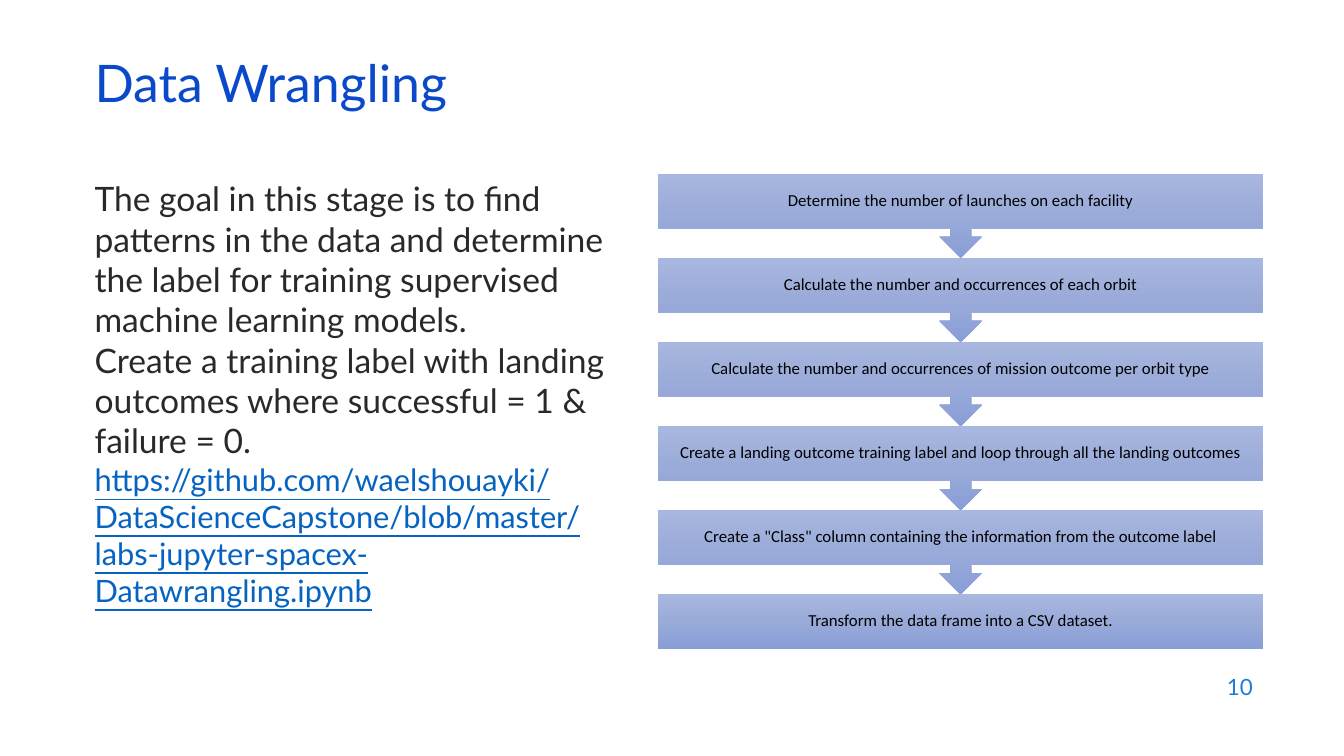
"""Build the Data Wrangling slide with its six-step flow."""
import copy

import pptx
import pptx.dml.color
import pptx.enum.shapes
import pptx.enum.text
import pptx.util

Pt = pptx.util.Pt
ALIGN = pptx.enum.text.PP_ALIGN
ANCHOR = pptx.enum.text.MSO_ANCHOR
SHAPE = pptx.enum.shapes.MSO_SHAPE

TITLE = "Data Wrangling"
PAGE_NUMBER = "10"
BODY = [
    ("The goal in this stage is to find patterns in the data and determine "
     "the label for training supervised machine learning models.", 24, "292929", False),
    ("Create a training label with landing outcomes where successful = 1 & "
     "failure = 0.", 24, "292929", False),
    ("https://github.com/waelshouayki/DataScienceCapstone/blob/master/"
     "labs-jupyter-spacex-Datawrangling.ipynb", 22, "0563C1", True),
]
STEPS = [
    "Determine the number of launches on each facility",
    "Calculate the number and occurrences of each orbit",
    "Calculate the number and occurrences of mission outcome per orbit type",
    "Create a landing outcome training label and loop through all the landing outcomes",
    'Create a "Class" column containing the information from the outcome label',
    "Transform the data frame into a CSV dataset.",
]
GRADIENT = ["A8B7DF", "9AABD9", "889ED7"]

FLOW_LEFT, FLOW_TOP, FLOW_WIDTH = 470.2, 124, 432
STEP_PITCH, STEP_HEIGHT, CALLOUT_HEIGHT = 60.06, 39.1, 60.2
STEP_INSET = 6.7


def color(hex_string):
    return pptx.dml.color.RGBColor.from_string(hex_string)


def write(para, text, size, hex_string, font="Lato", align=ALIGN.LEFT, spacing=1.0):
    para.text = text
    para.alignment = align
    para.line_spacing = spacing
    span = para.runs[0]
    span.font.name = font
    span.font.size = Pt(size)
    span.font.color.rgb = color(hex_string)
    return span


def add_text_box(page, left, top, width, height, anchor):
    box = page.shapes.add_textbox(Pt(left), Pt(top), Pt(width), Pt(height))
    box.text_frame.word_wrap = True
    box.text_frame.vertical_anchor = anchor
    return box.text_frame


def fill_gradient(shape):
    shape.fill.gradient()
    shape.fill.gradient_angle = 270
    stop_list = shape.fill.gradient_stops[0]._gs.getparent()
    stop_list.insert(1, copy.deepcopy(stop_list[0]))
    for index, stop in enumerate(shape.fill.gradient_stops):
        stop.color.rgb = color(GRADIENT[index])
        stop.position = index / (len(GRADIENT) - 1)


def add_step(page, index, text):
    last = index == len(STEPS) - 1
    kind = SHAPE.RECTANGLE if last else SHAPE.DOWN_ARROW_CALLOUT
    height = STEP_HEIGHT if last else CALLOUT_HEIGHT
    step = page.shapes.add_shape(
        kind, Pt(FLOW_LEFT), Pt(FLOW_TOP + index * STEP_PITCH), Pt(FLOW_WIDTH), Pt(height))
    step.shadow.inherit = False
    step.line.fill.background()
    fill_gradient(step)
    if not last:
        step.adjustments[3] = round(STEP_HEIGHT / CALLOUT_HEIGHT, 2)
    frame = step.text_frame
    frame.word_wrap = True
    frame.vertical_anchor = ANCHOR.MIDDLE
    frame.margin_left = frame.margin_right = Pt(STEP_INSET)
    frame.margin_top = frame.margin_bottom = Pt(STEP_INSET)
    write(frame.paragraphs[0], text, 12, "000000", "Calibri", ALIGN.CENTER, 0.9)


def main():
    deck = pptx.Presentation()
    deck.slide_width, deck.slide_height = Pt(960), Pt(540)
    page = deck.slides.add_slide(deck.slide_layouts[6])

    title = add_text_box(page, 60.5, 42.5, 828, 43.2, ANCHOR.MIDDLE)
    write(title.paragraphs[0], TITLE, 37, "0B49CB", spacing=0.7)

    body = add_text_box(page, 60.5, 123.8, 399.6, 362.2, ANCHOR.TOP)
    for index, (text, size, hex_string, underlined) in enumerate(BODY):
        para = body.add_paragraph() if index else body.paragraphs[0]
        span = write(para, text, size, hex_string)
        span.font.underline = underlined

    for index, text in enumerate(STEPS):
        add_step(page, index, text)

    number = add_text_box(page, 686, 474.5, 216, 31.7, ANCHOR.MIDDLE)
    write(number.paragraphs[0], PAGE_NUMBER, 16, "1C7DDB", align=ALIGN.RIGHT)

    deck.save("out.pptx")


if __name__ == "__main__":
    main()
